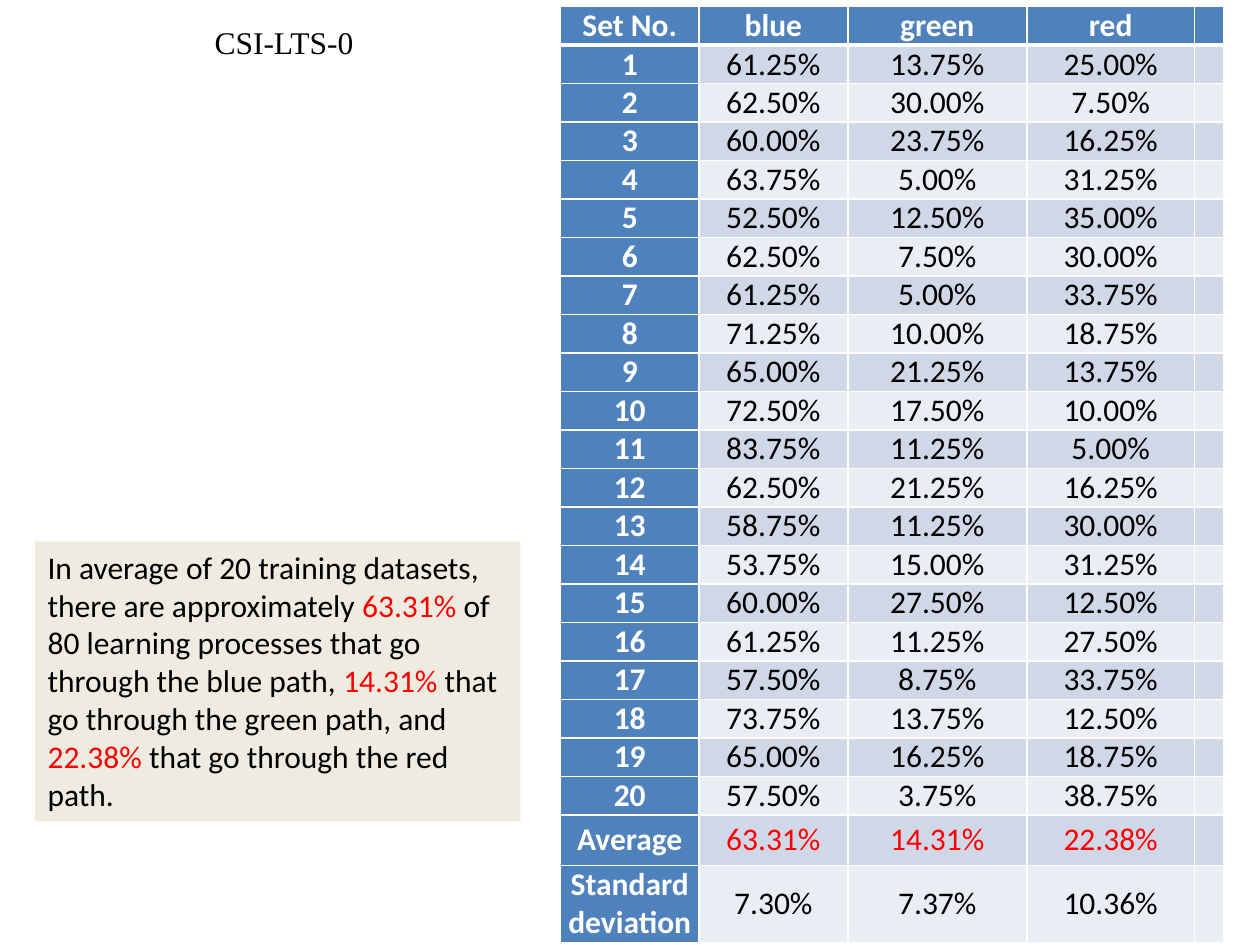
from dataclasses import dataclass

from lxml.etree import SubElement as Sub
from pptx import Presentation
from pptx.dml.color import RGBColor as Rgb
from pptx.enum.shapes import MSO_SHAPE as Shape
from pptx.enum.text import MSO_ANCHOR as Anchor, PP_ALIGN as Align
from pptx.oxml.ns import qn
from pptx.util import Cm, Pt


@dataclass(frozen=True)
class Theme:
    sans: str = "Calibri"
    serif: str = "Times New Roman"
    size: int = 18
    ink: str = "000000"
    white: str = "FFFFFF"
    mark: str = "FF0000"
    head: str = "4F81BD"
    odd: str = "D0D8E8"
    even: str = "E9EDF4"
    note: str = "EEECE1"
    thin: int = 1
    thick: int = 3


THEME = Theme()

HEAD = ["Set No.", "blue", "green", "red"]
SETS = [
    (61.25, 13.75, 25.00), (62.50, 30.00, 7.50), (60.00, 23.75, 16.25),
    (63.75, 5.00, 31.25), (52.50, 12.50, 35.00), (62.50, 7.50, 30.00),
    (61.25, 5.00, 33.75), (71.25, 10.00, 18.75), (65.00, 21.25, 13.75),
    (72.50, 17.50, 10.00), (83.75, 11.25, 5.00), (62.50, 21.25, 16.25),
    (58.75, 11.25, 30.00), (53.75, 15.00, 31.25), (60.00, 27.50, 12.50),
    (61.25, 11.25, 27.50), (57.50, 8.75, 33.75), (73.75, 13.75, 12.50),
    (65.00, 16.25, 18.75), (57.50, 3.75, 38.75),
]
MEAN = (63.31, 14.31, 22.38)
DEV = (7.30, 7.37, 10.36)


def write(para, text, font=THEME.sans, color=THEME.ink, bold=False, align=None):
    """Add one formatted run to a paragraph."""
    run = para.add_run()
    run.text = text
    run.font.name = font
    run.font.size = Pt(THEME.size)
    run.font.bold = bold
    run.font.color.rgb = Rgb.from_string(color)
    if align is not None:
        para.alignment = align


def paint(part, color):
    part.fill.solid()
    part.fill.fore_color.rgb = Rgb.from_string(color)


def edge(cell, top, low):
    """Draw white borders; top and low are widths in points."""
    props = cell._tc.get_or_add_tcPr()
    widths = {"L": THEME.thin, "R": THEME.thin, "T": top, "B": low}
    for side, width in widths.items():
        line = Sub(props, qn(f"a:ln{side}"), w=str(Pt(width)))
        fill = Sub(line, qn("a:solidFill"))
        Sub(fill, qn("a:srgbClr"), val=THEME.white)


def title(slide, box):
    shape = slide.shapes.title
    shape.left, shape.top, shape.width, shape.height = box
    frame = shape.text_frame
    frame.word_wrap = True
    frame.vertical_anchor = Anchor.TOP
    write(frame.paragraphs[0], "CSI-LTS-0", font=THEME.serif, align=Align.CENTER)


def note(slide, box):
    shape = slide.shapes.add_shape(Shape.RECTANGLE, *box)
    shape.shadow.inherit = False
    shape.line.fill.background()
    paint(shape, THEME.note)
    frame = shape.text_frame
    frame.word_wrap = True
    frame.vertical_anchor = Anchor.TOP
    blue, green, red = (f"{mean:.2f}%" for mean in MEAN)
    parts = [
        "In average of 20 training datasets, there are approximately ",
        f"{blue} ", "of 80 learning processes that go through the blue path, ",
        green, " that go through the green path, and ",
        f"{red} ", "that go through the red path.",
    ]
    # Every second part is a highlighted figure
    for i, part in enumerate(parts):
        write(frame.paragraphs[0], part, align=Align.LEFT,
              color=THEME.mark if i % 2 else THEME.ink)


def grid(slide, box):
    names = [str(i) for i in range(1, len(SETS) + 1)]
    names += ["Average", "Standard deviation"]
    rows = [HEAD] + [[name] + [f"{val:.2f}%" for val in vals]
                     for name, vals in zip(names, SETS + [MEAN, DEV])]
    mean = len(SETS) + 1
    cols = [2.79, 3.0, 3.61, 3.38, 0.58]  # last column stays empty
    highs = [0.77] * mean + [1.02, 1.55]
    table = slide.shapes.add_table(len(rows), len(cols), *box).table
    for col, width in zip(table.columns, cols):
        col.width = Cm(width)
    for row, high in zip(table.rows, highs):
        row.height = Cm(high)

    for r, row in enumerate(rows):
        for c in range(len(cols)):
            cell = table.cell(r, c)
            key = r == 0 or c == 0
            edge(cell, top=THEME.thick if r == 1 else THEME.thin,
                 low=THEME.thick if r == 0 else THEME.thin)
            band = THEME.odd if r % 2 else THEME.even
            paint(cell, THEME.head if r == 0 or c == 0 else band)
            cell.margin_top = cell.margin_bottom = 0
            cell.margin_left = cell.margin_right = Cm(0.15 if key else 0.18)
            cell.vertical_anchor = Anchor.MIDDLE
            if c < len(row):
                plain = THEME.mark if r == mean else THEME.ink
                write(cell.text_frame.paragraphs[0], row[c], bold=key,
                      color=THEME.white if key else plain, align=Align.CENTER)


def main():
    deck = Presentation()
    deck.slide_width, deck.slide_height = Cm(25.4), Cm(19.05)
    slide = deck.slides.add_slide(deck.slide_layouts[5])
    # Results on the right, heading and summary on the left
    grid(slide, (Cm(11.3), Cm(0.13), Cm(13.36), Cm(18.74)))
    note(slide, (Cm(0.71), Cm(10.92), Cm(9.78), Cm(5.64)))
    title(slide, (Cm(0.71), Cm(0.33), Cm(10.03), Cm(1.19)))
    deck.save("out.pptx")


if __name__ == "__main__":
    main()
